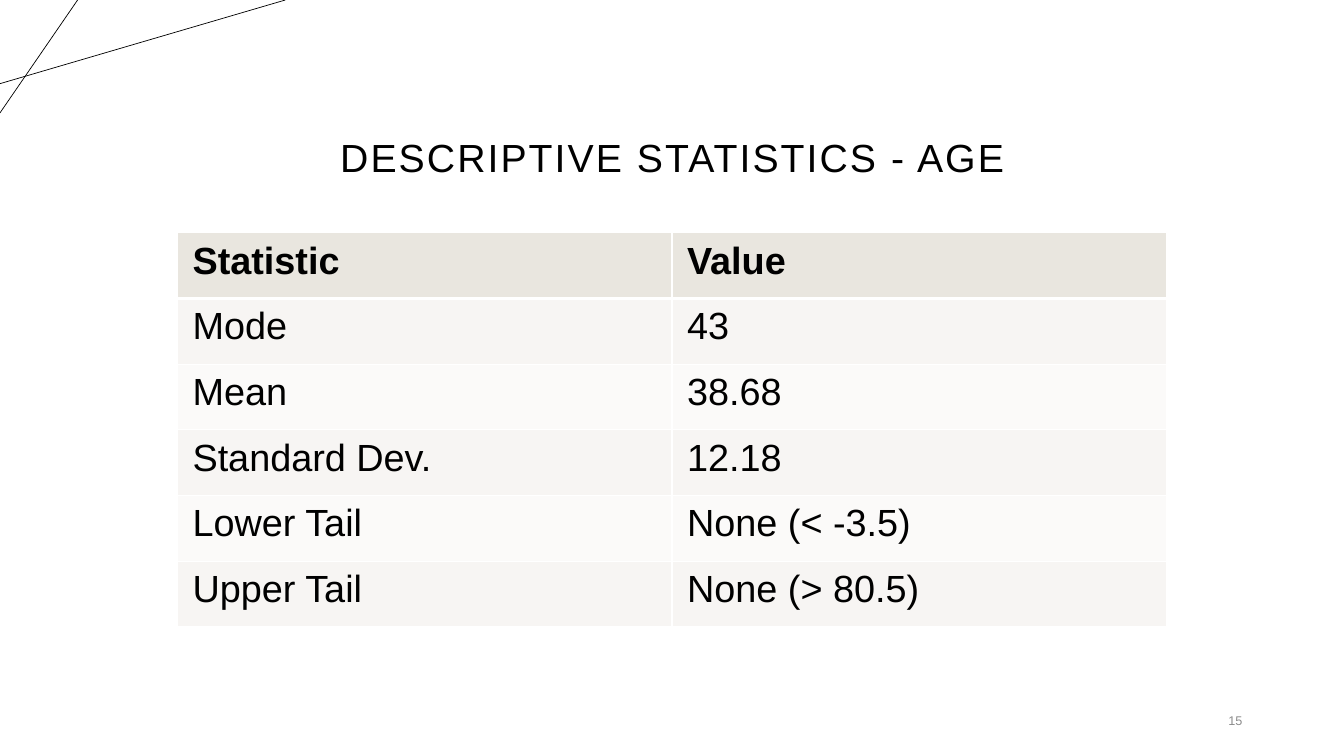
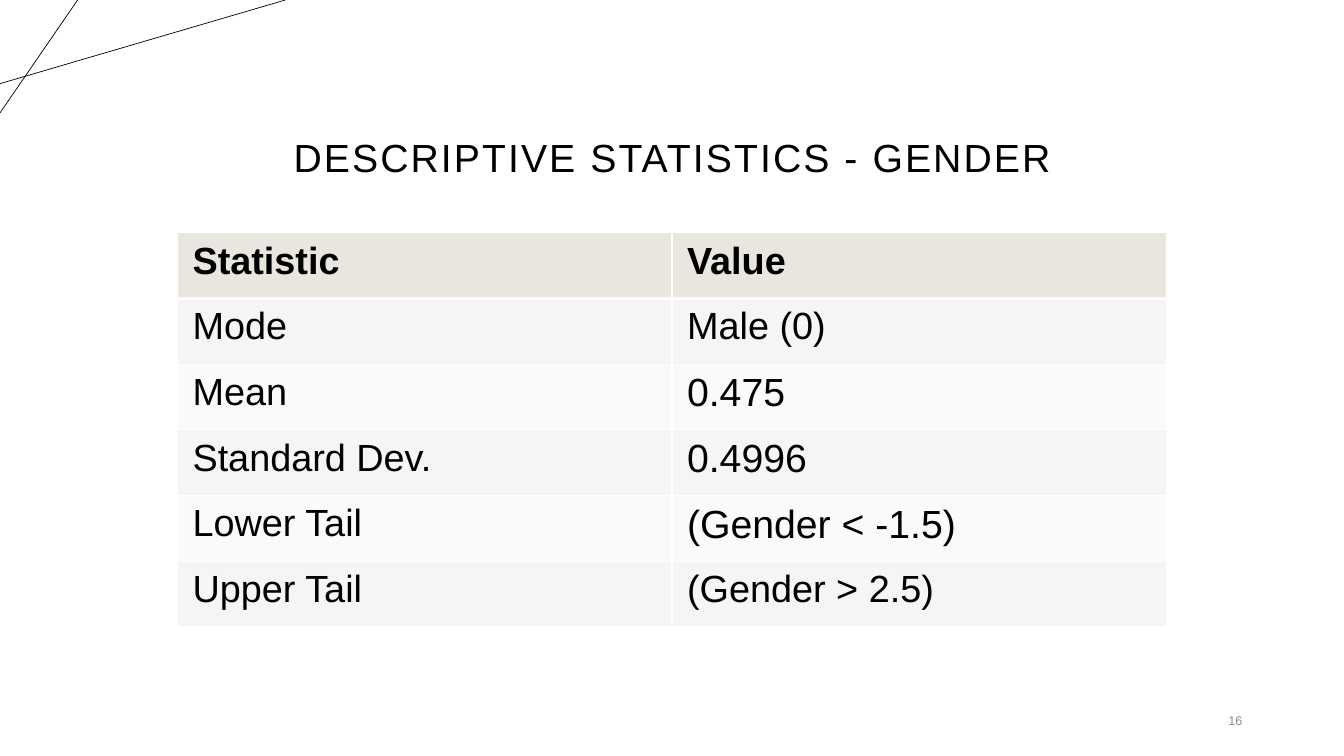
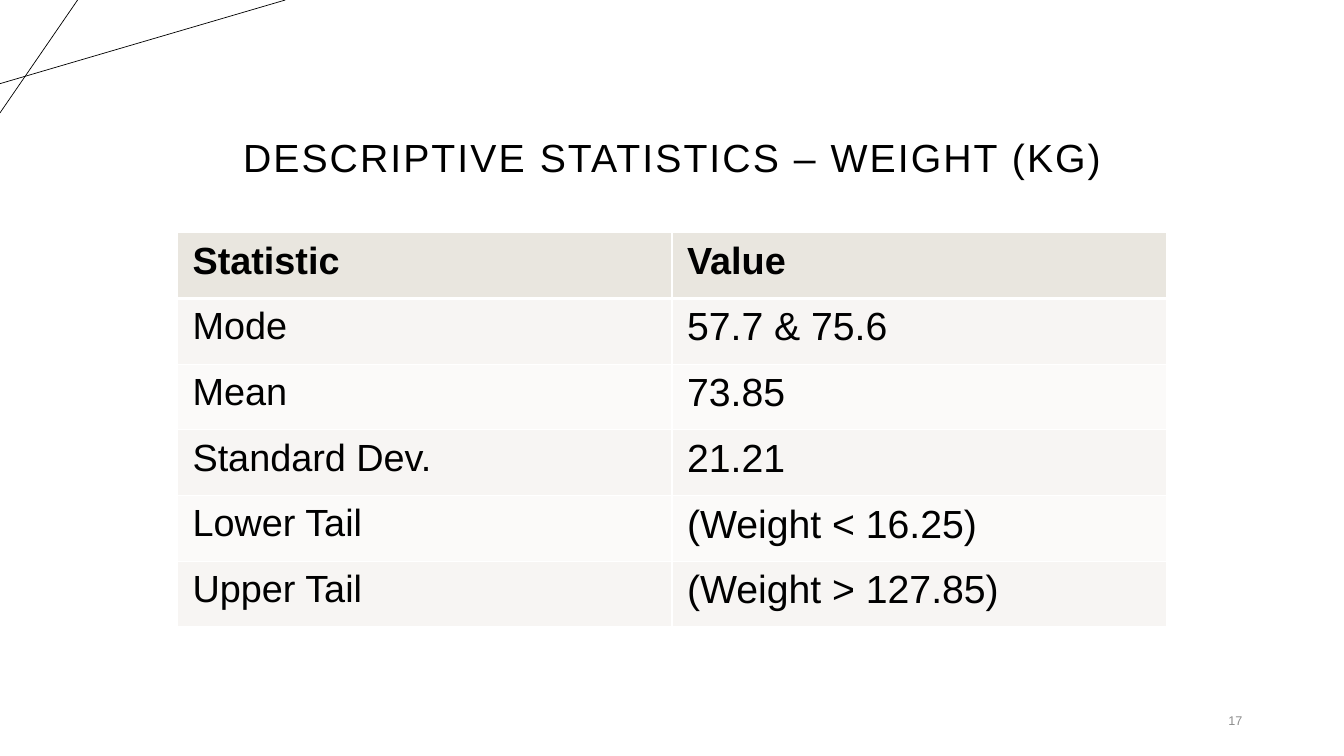
from lxml.etree import SubElement
from pptx import Presentation
from pptx.dml.color import RGBColor
from pptx.enum.shapes import MSO_CONNECTOR
from pptx.enum.text import MSO_ANCHOR, PP_ALIGN
from pptx.oxml.ns import qn
from pptx.util import Inches, Pt

# Content: title, page number, values with their text sizes
HEADER = ("Statistic", "Value")
STATISTICS = ("Mode", "Mean", "Standard Dev.", "Lower Tail", "Upper Tail")
SLIDES = [
    {
        "title": "DESCRIPTIVE STATISTICS - AGE",
        "number": 15,
        "values": [("43", 27), ("38.68", 27), ("12.18", 27),
                   ("None (< -3.5)", 27), ("None (> 80.5)", 27)],
    },
    {
        "title": "DESCRIPTIVE STATISTICS - GENDER",
        "number": 16,
        "values": [("Male (0)", 27), ("0.475", 28), ("0.4996", 28),
                   ("(Gender < -1.5)", 28), ("(Gender > 2.5)", 27)],
    },
    {
        "title": "DESCRIPTIVE STATISTICS – WEIGHT (KG)",
        "number": 17,
        "values": [("57.7 & 75.6", 28), ("73.85", 28), ("21.21", 28),
                   ("(Weight < 16.25)", 28), ("(Weight > 127.85)", 28)],
    },
]

# Shared style
COLORS = {"text": "000000", "number": "8C8C8C", "border": "FFFFFF",
          "header": "E9E6DF", "odd": "F7F5F3", "even": "FBFAF9"}
FONT = "Arial"
LABEL_SIZE = 27
CORNER_LINES = [(0, 0.83, 2.83, 0), (0.77, 0, 0, 1.12)]
TITLE_BOX = (0.92, 0.39, 11.5, 1.45)
NUMBER_BOX = (11.34, 6.95, 1.08, 0.4)
TABLE_BOX = (1.76, 2.31, 9.81, 3.91)
TITLE_FORMAT = {"alignment": PP_ALIGN.CENTER, "line_spacing": 0.9}
NUMBER_FORMAT = {"alignment": PP_ALIGN.RIGHT, "space_after": Pt(6)}
CELL_MARGINS = {"margin_left": Inches(0.15), "margin_right": Inches(0.15),
                "margin_top": Inches(0.07), "margin_bottom": Inches(0.07)}


def rgb(name):
    return RGBColor.from_string(COLORS[name])


def set_values(target, values):
    for name, value in values.items():
        setattr(target, name, value)


def add_run(paragraph, text, size, color="text", bold=False):
    run = paragraph.add_run()
    run.text = text
    set_values(run.font, {"name": FONT, "size": Pt(size), "bold": bold})
    run.font.color.rgb = rgb(color)
    return run


def add_text(slide, box, anchor, paragraph_format, text, size, color="text"):
    frame = slide.shapes.add_textbox(*map(Inches, box)).text_frame
    set_values(frame, {"word_wrap": True, "vertical_anchor": anchor})
    paragraph = frame.paragraphs[0]
    set_values(paragraph, paragraph_format)
    return add_run(paragraph, text, size, color)


def add_corner_lines(slide):
    for ends in CORNER_LINES:
        line = slide.shapes.add_connector(MSO_CONNECTOR.STRAIGHT, *map(Inches, ends))
        line.line.width = Pt(0.5)
        line.line.color.rgb = rgb("text")
        SubElement(line._element.spPr, qn("a:effectLst"))


def set_borders(cell, widths):
    properties = cell._tc.get_or_add_tcPr()
    for side, width in widths.items():
        border = SubElement(properties, qn(f"a:ln{side}"), w=str(Pt(width)))
        fill = SubElement(border, qn("a:solidFill"))
        SubElement(fill, qn("a:srgbClr"), val=COLORS["border"])


def add_statistics_table(slide, values):
    rows = [[(text, LABEL_SIZE) for text in HEADER]]
    rows += [[(label, LABEL_SIZE), value] for label, value in zip(STATISTICS, values)]
    left, top, width, height = map(Inches, TABLE_BOX)
    table = slide.shapes.add_table(len(rows), len(HEADER), left, top, width, height).table
    for column in table.columns:
        column.width = width // len(HEADER)
    for row_index, row in enumerate(rows):
        table.rows[row_index].height = height // len(rows)
        is_header = row_index == 0
        fill = "header" if is_header else "odd" if row_index % 2 else "even"
        # The rule under the header is thicker than the other borders
        widths = {"L": 1, "R": 1, "T": 3 if row_index == 1 else 1,
                  "B": 3 if is_header else 1}
        for column_index, (text, size) in enumerate(row):
            cell = table.cell(row_index, column_index)
            set_values(cell, CELL_MARGINS)
            set_borders(cell, widths)
            cell.fill.solid()
            cell.fill.fore_color.rgb = rgb(fill)
            add_run(cell.text_frame.paragraphs[0], text, size, bold=is_header)


def main():
    presentation = Presentation()
    presentation.slide_width = Inches(13.33)
    presentation.slide_height = Inches(7.5)
    for content in SLIDES:
        slide = presentation.slides.add_slide(presentation.slide_layouts[6])
        add_corner_lines(slide)
        title = add_text(slide, TITLE_BOX, MSO_ANCHOR.BOTTOM, TITLE_FORMAT,
                         content["title"], 28)
        title._r.get_or_add_rPr().set("spc", "150")
        add_text(slide, NUMBER_BOX, MSO_ANCHOR.MIDDLE, NUMBER_FORMAT,
                 str(content["number"]), 9, "number")
        add_statistics_table(slide, content["values"])
    presentation.save("out.pptx")


if __name__ == "__main__":
    main()
